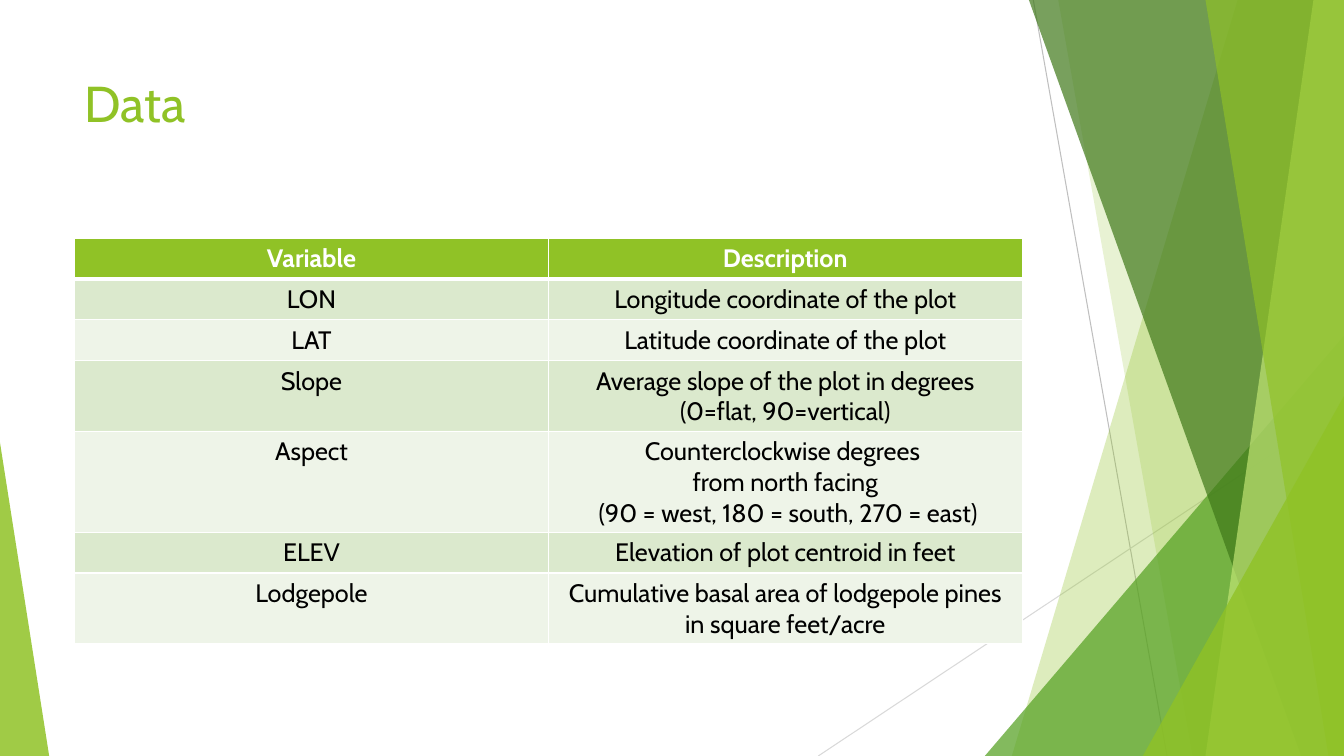
from dataclasses import dataclass

from lxml.etree import SubElement
from pptx import Presentation
from pptx.dml.color import RGBColor
from pptx.enum.shapes import MSO_CONNECTOR, MSO_SHAPE
from pptx.enum.text import PP_ALIGN
from pptx.oxml.ns import qn
from pptx.util import Cm, Pt

LIME = RGBColor(0x90, 0xC2, 0x26)
PALE_LIME = RGBColor(0xC0, 0xE4, 0x74)
GREEN = RGBColor(0x54, 0xA0, 0x21)
DARK_GREEN = RGBColor(0x3F, 0x78, 0x19)
BAND_ODD = RGBColor(0xDB, 0xE9, 0xCD)
BAND_EVEN = RGBColor(0xEE, 0xF4, 0xE8)
GREY = RGBColor(0xBF, 0xBF, 0xBF)
LIGHT_GREY = RGBColor(0xD9, 0xD9, 0xD9)
WHITE = RGBColor(0xFF, 0xFF, 0xFF)
BLACK = RGBColor(0, 0, 0)

FONT = "Cabin"
WIDTH, HEIGHT = 33.87, 19.05  # centimetres
LEFT, CONTENT_WIDTH = 1.88, 23.88
ROW_HEIGHT = 1.03


@dataclass
class Ray:
    start: tuple[float, float]
    end: tuple[float, float]
    color: RGBColor


@dataclass
class Band:
    """Area between a slanted edge and the right side of the slide."""
    top_x: float
    bottom_x: float
    color: RGBColor
    opacity: int


@dataclass
class Corner:
    """Right triangle standing on the bottom of the slide."""
    left: float
    top: float
    width: float
    apex: float
    color: RGBColor
    opacity: int


RAYS = [
    Ray((26.04, 0), (29.41, HEIGHT), GREY),
    Ray((WIDTH, 10.24), (20.62, HEIGHT), LIGHT_GREY),
]
FACETS = [
    Band(31.19, 25.5, LIME, 30),
    Band(26.67, 30.05, LIME, 20),
    Corner(24.82, 8.46, 9.05, 1, GREEN, 72),
    Band(25.93, 32.79, DARK_GREEN, 70),
    Band(33.1, 30.38, PALE_LIME, 70),
    Band(30.38, 33.48, LIME, 65),
    Corner(28.8, 9.98, 5.07, 1, LIME, 80),
    Corner(0, 11.15, 1.24, 0, LIME, 85),
]
ROWS = [
    ("Variable", "Description"),
    ("LON", "Longitude coordinate of the plot"),
    ("LAT", "Latitude coordinate of the plot"),
    ("Slope", "Average slope of the plot in degrees (0=flat, 90=vertical)"),
    ("Aspect", "Counterclockwise degrees \nfrom north facing\n"
               " (90 = west, 180 = south, 270 = east)"),
    ("ELEV", "Elevation of plot centroid in feet"),
    ("Lodgepole", "Cumulative basal area of lodgepole pines in square feet/acre"),
]

TITLE_FORMAT = {"name": FONT, "size": Pt(36), "bold": False}
HEADER_FORMAT = {"name": FONT, "size": Pt(18), "bold": True}
BODY_FORMAT = {**HEADER_FORMAT, "bold": False}


def format_font(font, values: dict, color: RGBColor) -> None:
    for name, value in values.items():
        setattr(font, name, value)
    font.color.rgb = color


def draw_ray(shapes, ray: Ray) -> None:
    points = [Cm(v) for v in ray.start + ray.end]
    line = shapes.add_connector(MSO_CONNECTOR.STRAIGHT, *points)
    line.line.color.rgb = ray.color
    line.line.width = Pt(0.75)
    SubElement(line._element.spPr, qn("a:effectLst"))


def draw_facet(shapes, facet: Band | Corner) -> None:
    if isinstance(facet, Band):
        builder = shapes.build_freeform(Cm(facet.top_x), 0)
        outline = [(WIDTH, 0), (WIDTH, HEIGHT), (facet.bottom_x, HEIGHT)]
        builder.add_line_segments([(Cm(x), Cm(y)) for x, y in outline], close=True)
        sp = builder.convert_to_shape()
    else:
        sp = shapes.add_shape(MSO_SHAPE.ISOSCELES_TRIANGLE, Cm(facet.left), Cm(facet.top),
                              Cm(facet.width), Cm(HEIGHT - facet.top))
        sp.adjustments[0] = facet.apex
    sp.shadow.inherit = False
    sp.line.fill.background()
    sp.fill.solid()
    sp.fill.fore_color.rgb = facet.color
    color = sp._element.spPr.find(qn("a:solidFill"))[0]
    SubElement(color, qn("a:alpha"), val=str(facet.opacity * 1000))


def set_borders(cell, top: float, bottom: float) -> None:
    tc_pr = cell._tc.get_or_add_tcPr()
    for side, width in {"L": 1, "R": 1, "T": top, "B": bottom}.items():
        ln = SubElement(tc_pr, qn(f"a:ln{side}"), w=str(Pt(width)))
        SubElement(SubElement(ln, qn("a:solidFill")), qn("a:srgbClr"), val=str(WHITE))


def fill_cell(cell, text: str, row: int) -> None:
    set_borders(cell, top=3 if row == 1 else 1, bottom=3 if row == 0 else 1)
    cell.fill.solid()
    if row == 0:
        fill, values, color = LIME, HEADER_FORMAT, WHITE
    else:
        fill, values, color = (BAND_ODD if row % 2 else BAND_EVEN), BODY_FORMAT, BLACK
    cell.fill.fore_color.rgb = fill
    cell.text_frame.text = text
    for p in cell.text_frame.paragraphs:
        p.alignment = PP_ALIGN.CENTER
        for r in p.runs:
            format_font(r.font, values, color)


def add_title(shapes, text: str) -> None:
    tf = shapes.add_textbox(Cm(LEFT), Cm(1.7), Cm(CONTENT_WIDTH), Cm(3.66)).text_frame
    tf.word_wrap = True
    r = tf.paragraphs[0].add_run()
    r.text = text
    format_font(r.font, TITLE_FORMAT, LIME)


def add_variables(shapes) -> None:
    table = shapes.add_table(len(ROWS), len(ROWS[0]), Cm(LEFT), Cm(6),
                             Cm(CONTENT_WIDTH), Cm(ROW_HEIGHT * len(ROWS))).table
    for i, texts in enumerate(ROWS):
        table.rows[i].height = Cm(ROW_HEIGHT)
        for j, text in enumerate(texts):
            fill_cell(table.cell(i, j), text, i)


def main() -> None:
    prs = Presentation()
    prs.slide_width, prs.slide_height = Cm(WIDTH), Cm(HEIGHT)
    s = prs.slides.add_slide(prs.slide_layouts[6])

    # Background decoration
    for ray in RAYS:
        draw_ray(s.shapes, ray)
    for facet in FACETS:
        draw_facet(s.shapes, facet)

    # Content
    add_title(s.shapes, "Data")
    add_variables(s.shapes)
    prs.save("out.pptx")


if __name__ == "__main__":
    main()
